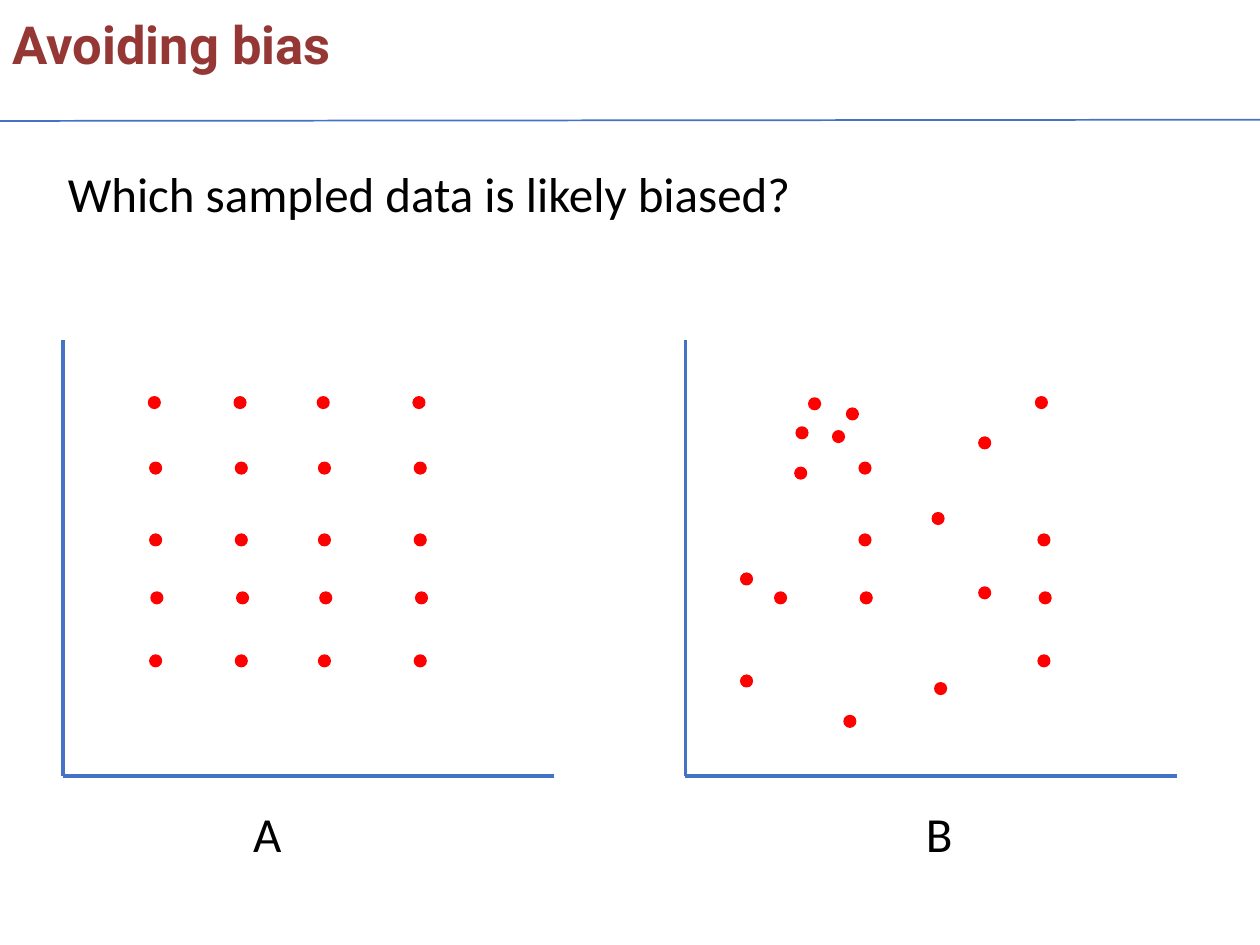
from lxml import etree
from pptx import Presentation
from pptx.dml.color import RGBColor
from pptx.enum.shapes import MSO_CONNECTOR, MSO_SHAPE
from pptx.oxml.ns import qn
from pptx.util import Inches, Pt

STRAIGHT = MSO_CONNECTOR.STRAIGHT
OVAL = MSO_SHAPE.OVAL

WIDTH, HEIGHT = 10, 7.5
BLUE, RED, MAROON, BLACK = "4472C4", "FF0000", "953735", "000000"
DOT_SIZE = 0.09
AXIS_TOP, AXIS_BOTTOM, AXIS_LENGTH = 2.7, 6.16, 3.9

# Plot A: regular columns and rows, each row with a slight sideways shift
GRID_COLUMNS = (1.18, 1.86, 2.52, 3.28)
GRID_ROWS = ((3.15, 0), (3.67, 0.01), (4.24, 0.01), (4.7, 0.02), (5.2, 0.01))

# Plot B: scattered samples
SCATTERED = (
    (6.32, 3.39), (6.31, 3.71), (5.88, 4.55), (6.15, 4.7), (5.88, 5.36),
    (6.42, 3.16), (6.82, 3.67), (6.82, 4.24), (6.83, 4.7), (6.7, 5.68),
    (6.72, 3.24), (7.4, 4.07), (6.61, 3.42), (7.77, 4.66), (7.42, 5.42),
    (8.22, 3.15), (7.77, 3.47), (8.24, 4.24), (8.25, 4.7), (8.24, 5.2),
)


def color(hex_code):
    return RGBColor.from_string(hex_code)


def add_text(slide, text, left, top, width, height,
             size=28, font="Calibri", ink=BLACK, bold=False):
    box = slide.shapes.add_textbox(
        Inches(left), Inches(top), Inches(width), Inches(height))
    box.text_frame.word_wrap = True
    paragraph = box.text_frame.paragraphs[0]
    paragraph.text = text
    paragraph.font.name = font
    paragraph.font.size = Pt(size)
    paragraph.font.bold = bold
    paragraph.font.color.rgb = color(ink)


def add_line(slide, start, end, weight):
    line = slide.shapes.add_connector(
        STRAIGHT, *(Inches(length) for length in (*start, *end)))
    line.line.color.rgb = color(BLUE)
    line.line.width = Pt(weight)
    etree.SubElement(line._element.spPr, qn("a:effectLst"))


def add_axes(slide, left):
    origin = (left, AXIS_BOTTOM)
    add_line(slide, (left, AXIS_TOP), origin, 2)
    add_line(slide, (left + AXIS_LENGTH, AXIS_BOTTOM), origin, 2)


def add_dot(slide, left, top):
    dot = slide.shapes.add_shape(
        OVAL, Inches(left), Inches(top), Inches(DOT_SIZE), Inches(DOT_SIZE))
    dot.shadow.inherit = False
    dot.fill.solid()
    dot.fill.fore_color.rgb = color(RED)
    dot.line.color.rgb = color(RED)
    dot.line.width = Pt(1)


def add_plot(slide, axis_left, samples):
    add_axes(slide, axis_left)
    for left, top in samples:
        add_dot(slide, left, top)


def main():
    deck = Presentation()
    deck.slide_width, deck.slide_height = Inches(WIDTH), Inches(HEIGHT)
    slide = deck.slides.add_slide(deck.slide_layouts[6])

    add_text(slide, "Avoiding bias", 0, 0.05, 10.18, 0.61,
             size=30, font="Roboto", ink=MAROON, bold=True)
    add_line(slide, (0, 0.96), (WIDTH, 0.95), 1)

    regular = [(column + shift, row)
               for column in GRID_COLUMNS for row, shift in GRID_ROWS]
    add_plot(slide, 0.5, regular)
    add_plot(slide, 5.44, SCATTERED)

    add_text(slide, "Which sampled data is likely biased?",
             0.44, 1.25, 9.13, 0.57)
    for label, left in (("A", 1.91), ("B", 7.25)):
        add_text(slide, label, left, 6.33, 0.61, 0.57)

    deck.save("out.pptx")


if __name__ == "__main__":
    main()
